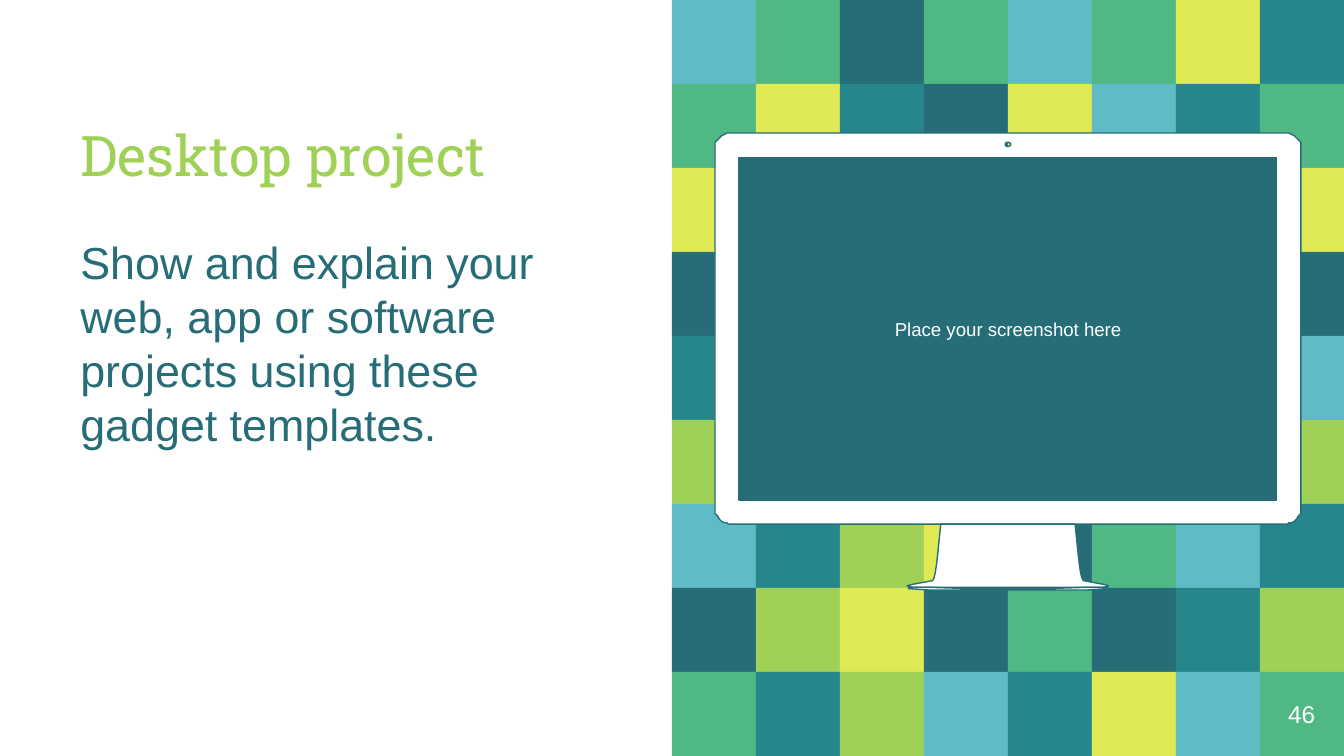
import pptx
import pptx.util
from pptx.dml.color import RGBColor
from pptx.enum.shapes import MSO_SHAPE
from pptx.enum.text import MSO_ANCHOR, MSO_AUTO_SIZE, PP_ALIGN
from pptx.util import Inches

DARK = RGBColor(0x26, 0x6D, 0x78)
LIME = RGBColor(0x9E, 0xD1, 0x55)
WHITE = RGBColor(0xFF, 0xFF, 0xFF)
TILES = {
    "L": LIME,
    "D": DARK,
    "Y": RGBColor(0xDF, 0xE9, 0x54),
    "G": RGBColor(0x50, 0xB8, 0x83),
    "T": RGBColor(0x27, 0x86, 0x8B),
    "B": RGBColor(0x5F, 0xBB, 0xC5),
}

# One letter per tile; a dot is a gap behind the monitor.
MOSAIC = [
    "BGDGBGYT",
    "GYTDYBTG",
    "Y......Y",
    "D......D",
    "T......B",
    "LBDLTLGL",
    "BTLYDGBT",
    "DLYDGDTL",
    "GTLBTYBG",
]
WIDTH, LEFT = 10, 5
SIDE = (WIDTH - LEFT) / len(MOSAIC[0])
HEIGHT = SIDE * len(MOSAIC)

# Left half of each monitor outline, top to bottom; the right half mirrors it.
MIDDLE = 7.5
CAMERA = [(7.5, 1.06), (7.49, 1.06), (7.48, 1.07), (7.48, 1.08),
          (7.49, 1.09), (7.5, 1.09)]
SCREEN = [(5.5, 1.17), (5.5, 3.72)]
FRAME = [(5.42, 0.99), (5.41, 0.99), (5.39, 1), (5.37, 1.01), (5.35, 1.03),
         (5.34, 1.04), (5.32, 1.06), (5.32, 1.09), (5.32, 1.11),
         (5.32, 3.78), (5.32, 3.8), (5.32, 3.82), (5.34, 3.84),
         (5.35, 3.86), (5.37, 3.88), (5.39, 3.89), (5.41, 3.89), (5.42, 3.9)]
STAND = [(7, 3.9), (6.99, 4), (6.98, 4.1), (6.97, 4.19), (6.96, 4.26),
         (6.95, 4.3), (6.94, 4.32), (6.89, 4.33), (6.78, 4.35),
         (6.75, 4.36), (6.79, 4.37), (7.02, 4.37)]
FOOT = [(7.21, 4.38), (6.9, 4.37), (6.76, 4.37), (6.76, 4.38),
        (6.91, 4.39), (7.21, 4.39)]
MONITOR = [CAMERA, SCREEN, FRAME, STAND, FOOT]

TITLE = {
    "text": "Desktop project", "box": (0.5, 0.56, 3.87, 0.94),
    "anchor": MSO_ANCHOR.BOTTOM, "para": {"alignment": PP_ALIGN.LEFT},
    "font": ("Roboto Slab", 30, LIME),
}
BODY = {
    "text": "Show and explain your web, app or software projects "
            "using these gadget templates.",
    "box": (0.5, 1.65, 3.87, 3.57), "anchor": MSO_ANCHOR.TOP,
    "para": {"alignment": PP_ALIGN.LEFT, "space_before": pptx.util.Pt(6)},
    "font": ("Arial", 24, DARK),
}
HINT = {
    "text": "Place your screenshot here", "box": (5.5, 1.17, 4, 2.55),
    "anchor": MSO_ANCHOR.MIDDLE, "para": {"alignment": PP_ALIGN.CENTER},
    "font": ("Arial", 10, WHITE),
}
NUMBER = {
    "text": "46", "box": (9.37, 5, 0.63, 0.63),
    "anchor": MSO_ANCHOR.MIDDLE, "para": {"alignment": PP_ALIGN.CENTER},
    "font": ("Arial", 13, WHITE),
}


def inches(box):
    return [Inches(n) for n in box]


def paint(shape, fill):
    shape.shadow.inherit = False
    shape.fill.solid()
    shape.fill.fore_color.rgb = fill
    shape.line.fill.background()


def add_rect(slide, box, fill):
    rect = slide.shapes.add_shape(MSO_SHAPE.RECTANGLE, *inches(box))
    paint(rect, fill)
    return rect


def write(shape, item):
    shape.left, shape.top, shape.width, shape.height = inches(item["box"])
    frame = shape.text_frame
    frame.text = item["text"]
    pad = Inches(0.1)
    style = {
        "word_wrap": True, "auto_size": MSO_AUTO_SIZE.NONE,
        "vertical_anchor": item["anchor"],
        "margin_left": pad, "margin_right": pad,
        "margin_top": pad, "margin_bottom": pad,
    }
    for key, value in style.items():
        setattr(frame, key, value)
    para = frame.paragraphs[0]
    for key, value in item["para"].items():
        setattr(para, key, value)
    font = para.runs[0].font
    name, size, color = item["font"]
    font.name, font.size = name, pptx.util.Pt(size)
    font.color.rgb = color


def add_tiles(slide):
    for row, line in enumerate(MOSAIC):
        for col, key in enumerate(line):
            if key in TILES:
                box = (LEFT + col * SIDE, row * SIDE, SIDE, SIDE)
                add_rect(slide, box, TILES[key])


def add_monitor(slide):
    pen = None
    for half in MONITOR:
        other = [(2 * MIDDLE - x, y) for x, y in reversed(half)]
        first, *rest = [inches(dot) for dot in half + other]
        if pen is None:
            pen = slide.shapes.build_freeform(*first)
        else:
            pen.move_to(*first)
        pen.add_line_segments(rest, close=True)
    shape = pen.convert_to_shape()
    paint(shape, WHITE)
    shape.line.color.rgb = DARK
    shape.line.width = pptx.util.Pt(0.75)


def main():
    deck = pptx.Presentation()
    deck.slide_width, deck.slide_height = Inches(WIDTH), Inches(HEIGHT)
    slide = deck.slides.add_slide(deck.slide_layouts[5])
    add_tiles(slide)
    add_monitor(slide)
    write(slide.shapes.title, TITLE)
    write(add_rect(slide, HINT["box"], DARK), HINT)
    for item in (BODY, NUMBER):
        write(slide.shapes.add_textbox(*inches(item["box"])), item)
    deck.save("out.pptx")


if __name__ == "__main__":
    main()
